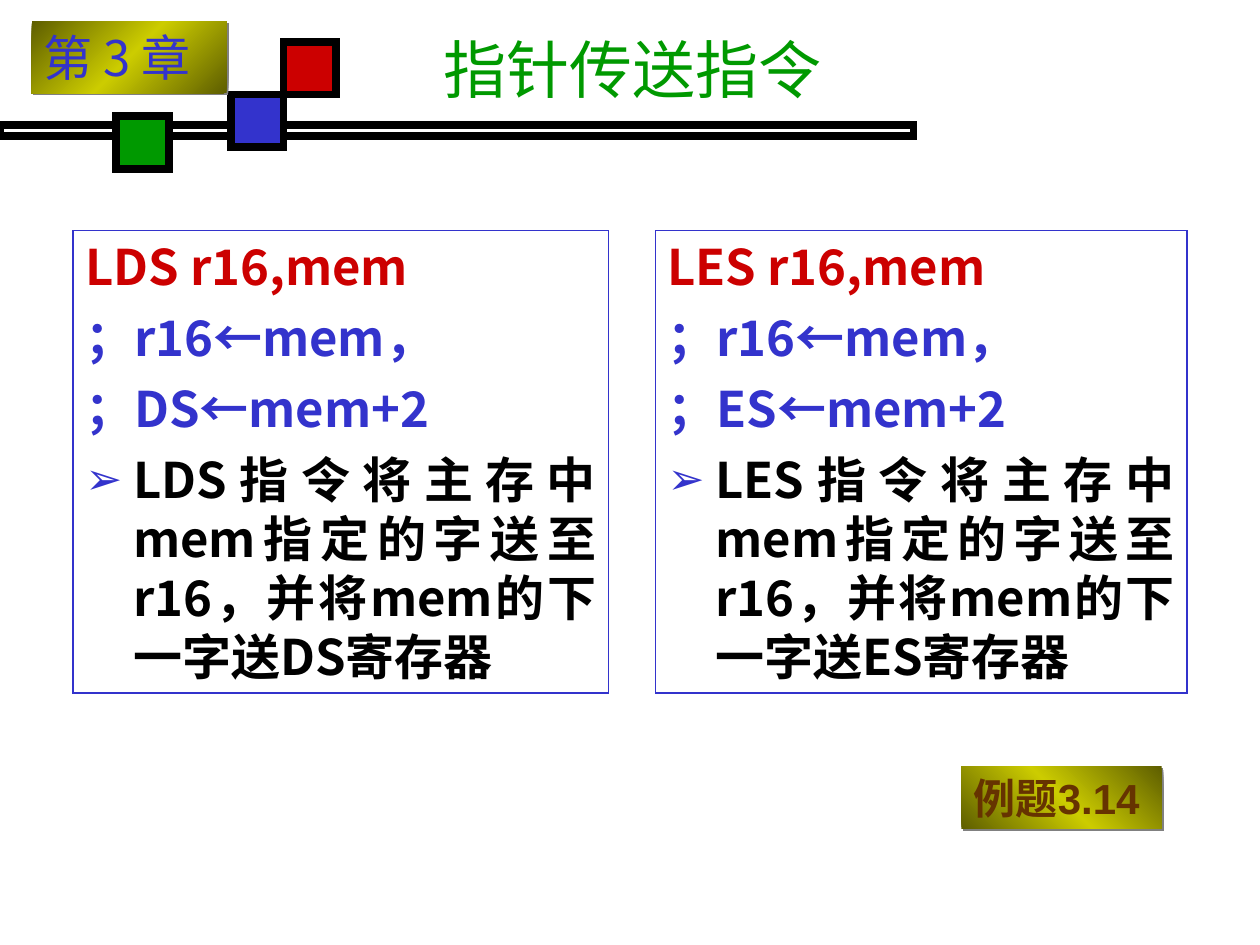
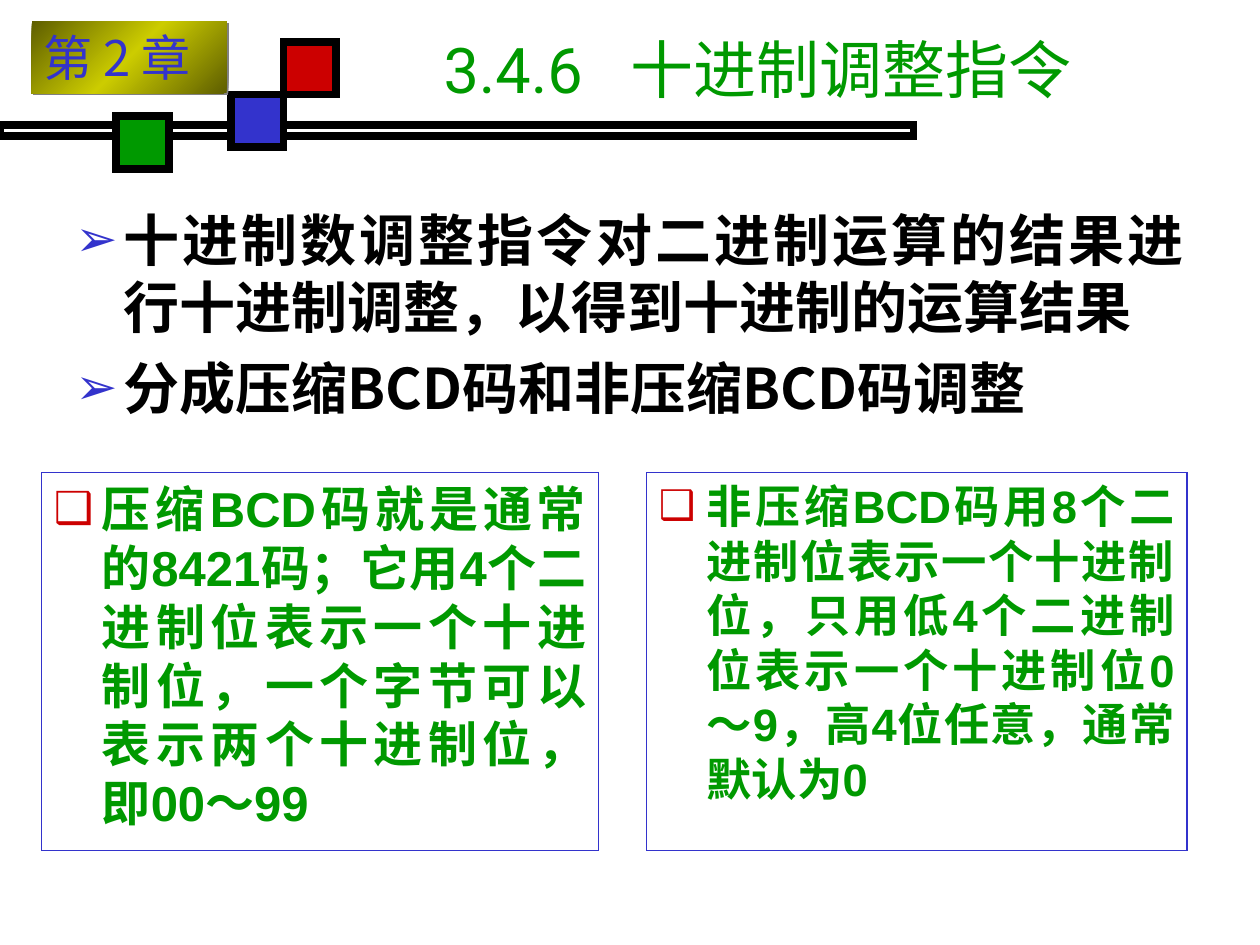
from lxml import etree
from pptx import Presentation
from pptx.dml.color import RGBColor
from pptx.enum.shapes import MSO_SHAPE
from pptx.enum.text import MSO_ANCHOR, PP_ALIGN
from pptx.oxml import parse_xml
from pptx.oxml.ns import nsdecls, qn
from pptx.util import Inches, Pt

RECT = MSO_SHAPE.RECTANGLE
MIDDLE, TOP = MSO_ANCHOR.MIDDLE, MSO_ANCHOR.TOP
LEFT, JUSTIFY = PP_ALIGN.LEFT, PP_ALIGN.JUSTIFY
BLUE, GREEN, RED, BLACK, BROWN = "3333CC", "009900", "CC0000", "000000", "663300"
OLIVE, YELLOW, GREY = "5E5E00", "CCCC00", "808080"
CJK, CJK_TITLE, LATIN, TITLE = "Noto Sans CJK SC", "Noto Sans CJK JP", "Arial", "Roboto"
ARROW, BOX = ("➢", BLUE), ("❑", RED)


def add_text(p, text, size, font, color, bold=False, bullet=None):
    """Add one formatted run; a bullet is a (character, colour) pair."""
    if bullet:
        pPr = p._p.get_or_add_pPr()
        clr = etree.SubElement(pPr, qn("a:buClr"))
        etree.SubElement(clr, qn("a:srgbClr"), val=bullet[1])
        etree.SubElement(pPr, qn("a:buSzPct"), val="90000")
        etree.SubElement(pPr, qn("a:buFont"), typeface=LATIN)
        etree.SubElement(pPr, qn("a:buChar"), char=bullet[0])
    r = p.add_run()
    r.text = text
    r.font.size, r.font.name, r.font.bold = Pt(size), font, bold
    r.font.color.rgb = RGBColor.from_string(color)
    ea = etree.SubElement(r._r.get_or_add_rPr(), qn("a:ea"))
    ea.set("typeface", CJK if font in (LATIN, TITLE) else font)


def add_rect(s, at, fill=None, line=None, width=0.75, angle=None):
    """Add a rectangle; an angle gives it the shaded badge look."""
    sp = s.shapes.add_shape(RECT, *[Inches(v) for v in at])
    sp.shadow.inherit = False
    sp.fill.background()
    if fill:
        sp.fill.solid()
        sp.fill.fore_color.rgb = RGBColor.from_string(fill)
    if line:
        sp.line.color.rgb = RGBColor.from_string(line)
        sp.line.width = Pt(width)
        etree.SubElement(sp._element.spPr.find(qn("a:ln")), qn("a:miter"), lim="800000")
    else:
        sp.line.fill.background()
    tf = sp.text_frame
    tf.vertical_anchor = TOP
    tf.word_wrap = angle is None
    tf.paragraphs[0].alignment = LEFT
    if angle is not None:
        spPr = sp._element.spPr
        stops = "".join(f'<a:gs pos="{pos}"><a:srgbClr val="{c}"/></a:gs>'
                        for pos, c in ((0, OLIVE), (50000, YELLOW), (100000, OLIVE)))
        spPr.replace(spPr.find(qn("a:noFill")), parse_xml(
            f'<a:gradFill {nsdecls("a")}><a:gsLst>{stops}</a:gsLst>'
            f'<a:lin ang="{angle * 60000}" scaled="0"/></a:gradFill>'))
        shadow = etree.SubElement(spPr.find(qn("a:effectLst")), qn("a:outerShdw"),
                                  dist=str(Pt(1.4)), dir=str(45 * 60000), algn="ctr")
        etree.SubElement(shadow, qn("a:srgbClr"), val=GREY)
    return sp


prs = Presentation()
prs.slide_width, prs.slide_height = Inches(10), Inches(7.5)

# Title, double bar, squares and chapter badge on every slide
slides = []
for title, chapter in (("指针传送指令", "第 3 章"), ("3.4.6\t十进制调整指令", "第 2 章")):
    s = prs.slides.add_slide(prs.slide_layouts[5])
    slides.append(s)
    sp = s.shapes.title
    sp.left, sp.top, sp.width, sp.height = [Inches(v) for v in (3.42, 0.08, 6.58, 0.92)]
    tf = sp.text_frame
    tf.vertical_anchor = MIDDLE
    p = tf.paragraphs[0]
    p.alignment = LEFT
    tabs = etree.SubElement(p._p.get_or_add_pPr(), qn("a:tabLst"))
    etree.SubElement(tabs, qn("a:tab"), pos=str(Inches(1.48)), algn="l")
    add_text(p, title, 36, TITLE, GREEN)

    add_rect(s, (0, 0.99, 7.25, 0.09), line=BLACK, width=4.5)
    for x, y, color in ((1.83, 0.75, BLUE), (0.92, 0.92, GREEN), (2.25, 0.33, RED)):
        add_rect(s, (x, y, 0.42, 0.42), color, BLACK, 4.5)
    badge = add_rect(s, (0.25, 0.17, 1.55, 0.57), angle=225)
    add_text(badge.text_frame.paragraphs[0], chapter, 28, CJK_TITLE, BLUE)

# Content boxes: slide, place, outline, space before, paragraphs
boxes = []
for reg, x, w in (("DS", 0.58, 4.25), ("ES", 5.2, 4.22)):
    boxes.append((slides[0], (x, 1.83, w, 3.67), BLUE, 7, [
        (f"L{reg} r16,mem", 28, CJK, RED, True),
        ("；r16←mem，", 28, CJK, BLUE, True),
        (f"；{reg}←mem+2", 28, CJK, BLUE, True),
        (f"L{reg}指令将主存中mem指定的字送至r16，并将mem的下一字送{reg}寄存器",
         28, CJK, BLACK, True, ARROW)]))
boxes += [
    (slides[1], (0.5, 1.58, 9, 1.83), None, 8, [
        ("十进制数调整指令对二进制运算的结果进行十进制调整，以得到十进制的运算结果",
         32, CJK, BLACK, True, ARROW),
        ("分成压缩BCD码和非压缩BCD码调整", 32, CJK, BLACK, True, ARROW)]),
    (slides[1], (0.33, 3.75, 4.42, 3), BLUE, 7, [
        ("压缩BCD码就是通常的8421码；它用4个二进制位表示一个十进制位，"
         "一个字节可以表示两个十进制位，即00～99", 28, LATIN, GREEN, True, BOX)]),
    (slides[1], (5.13, 3.75, 4.29, 3), BLUE, 7, [
        ("非压缩BCD码用8个二进制位表示一个十进制位，只用低4个二进制位"
         "表示一个十进制位0～9，高4位任意，通常默认为0", 25.9, LATIN, GREEN, True, BOX)]),
]
for s, at, line, space, paragraphs in boxes:
    tf = add_rect(s, at, line=line).text_frame
    for i, paragraph in enumerate(paragraphs):
        p = tf.add_paragraph() if i else tf.paragraphs[0]
        p.alignment = JUSTIFY
        p.space_before = Pt(space if i else 0)
        # Hanging indent; punctuation stays inside the right edge
        pPr = p._p.get_or_add_pPr()
        pPr.set("marL", str(Inches(0.38)))
        pPr.set("indent", str(Inches(-0.38)))
        pPr.set("hangingPunct", "0")
        add_text(p, *paragraph)

# Example badge
badge = add_rect(slides[0], (7.63, 6.08, 1.59, 0.5), angle=135)
add_text(badge.text_frame.paragraphs[0], "例题3.14", 24, LATIN, BROWN, True)

prs.save("out.pptx")
